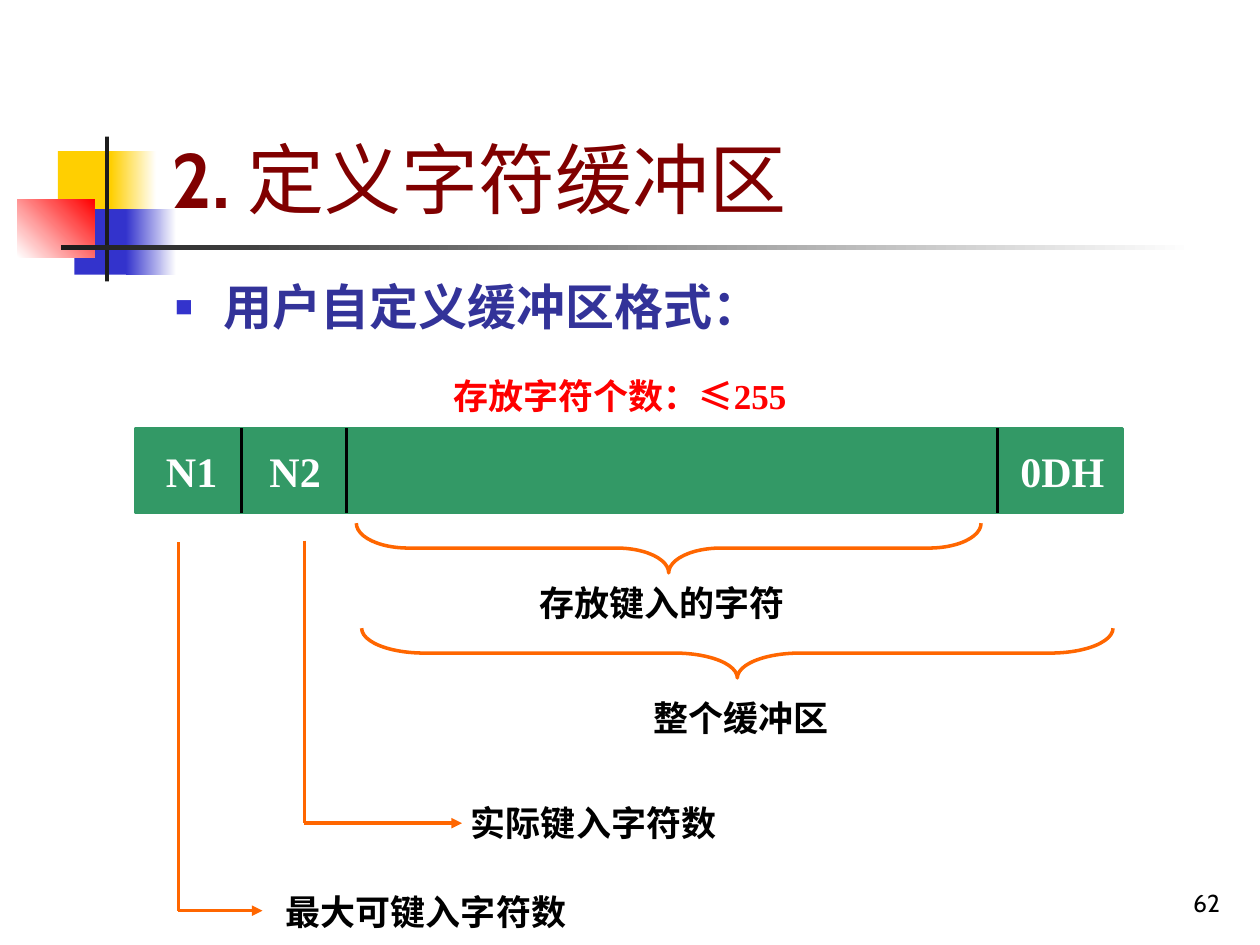
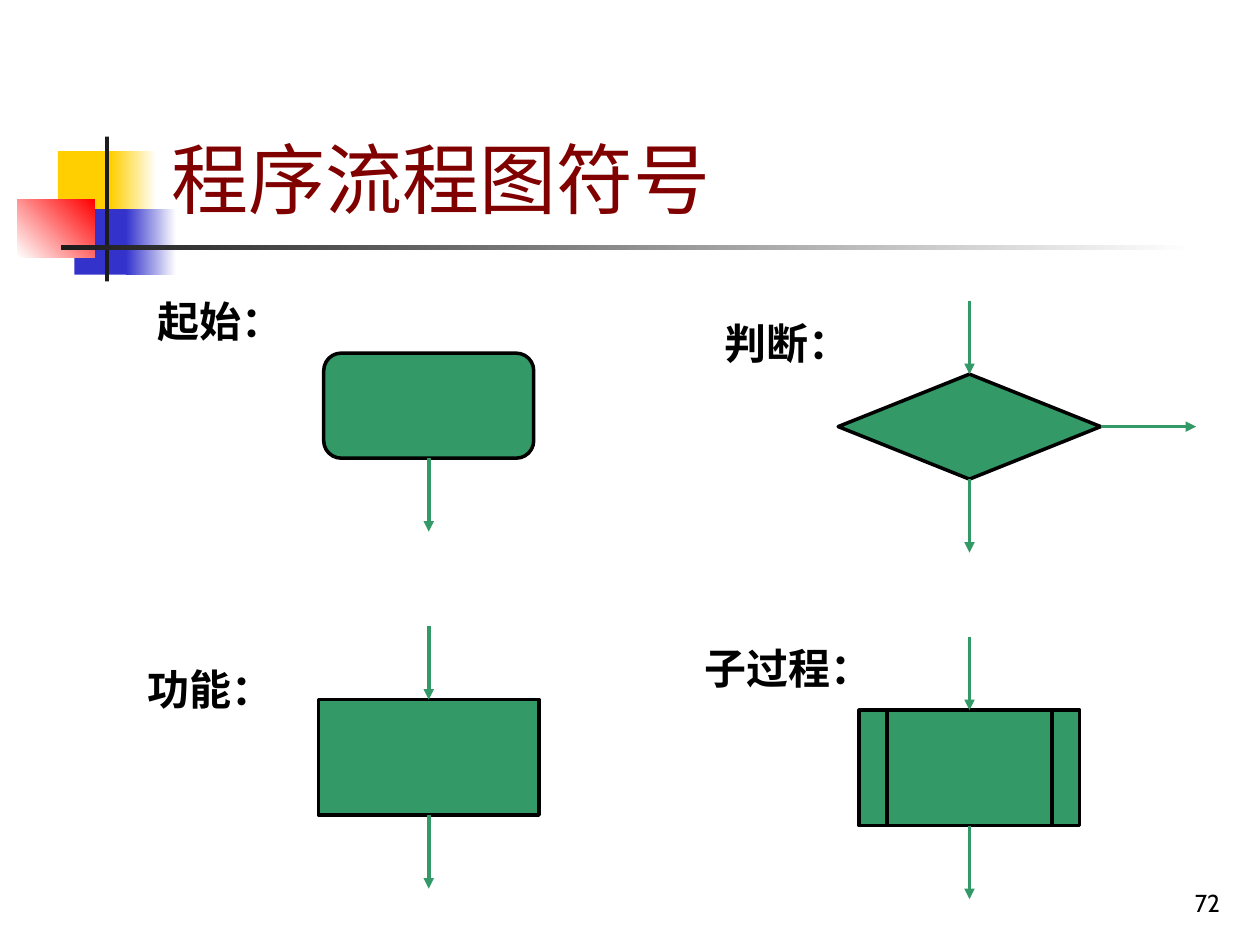
from lxml.etree import SubElement
from pptx import Presentation
from pptx.dml.color import RGBColor
from pptx.enum.shapes import MSO_CONNECTOR, MSO_SHAPE
from pptx.enum.text import MSO_ANCHOR, MSO_AUTO_SIZE, PP_ALIGN
from pptx.oxml.ns import qn
from pptx.util import Pt

COLORS = {
    "yellow": "FFCF01", "blue": "3333CC", "red": "FF0000", "ink": "1C1C1C",
    "white": "FFFFFF", "black": "000000", "title": "800000",
    "body": "333399", "green": "339966", "orange": "FF6600",
}
RGB = {name: RGBColor.from_string(value) for name, value in COLORS.items()}
TITLE = {"name": "Cabin", "size": Pt(44), "bold": False}
BODY = {"name": "Cabin", "size": Pt(28), "bold": True}
NUMBER = {"name": "Cabin", "size": Pt(14), "bold": False}
LARGE = {"name": "Times New Roman", "size": Pt(24), "bold": True}
SMALL = {**LARGE, "size": Pt(20)}


def write(para, text, color, formats):
    span = para.add_run()
    span.text = text
    span.font.color.rgb = RGB[color]
    for name, value in formats.items():
        setattr(span.font, name, value)


def draw_line(page, start, end, color, arrow=False):
    line = page.shapes.add_connector(
        MSO_CONNECTOR.STRAIGHT, *(Pt(value) for value in (*start, *end)))
    line.line.color.rgb = RGB[color]
    line.line.width = Pt(2)
    if arrow:
        SubElement(line.line._get_or_add_ln(), qn("a:tailEnd"), type="triangle")
    SubElement(line.element.spPr, qn("a:effectLst"))
    return line


deck = Presentation()
deck.slide_width, deck.slide_height = Pt(720), Pt(540)
buffer_page = deck.slides.add_slide(deck.slide_layouts[1])
symbol_page = deck.slides.add_slide(deck.slide_layouts[5])

# Title ornament, moved to the master so that every page shows it
ornaments = [
    (33.1, 86.4, 34.6, 37.4, "yellow", None, 0),
    (63.4, 86.4, 25.9, 37.4, "yellow", "white", 0),
    (42.5, 119.5, 33.1, 37.4, "blue", None, 0),
    (72, 119.5, 28.8, 37.4, "blue", "white", 0),
    (10, 113.8, 44, 33.1, "white", "red", 45),
    (60, 78, 2.3, 82.8, "ink", None, 0),
    (34.6, 140.2, 648, 2.5, "ink", "white", 0),
]
for number, (*frame, color, fade, angle) in enumerate(ornaments, start=101):
    ornament = buffer_page.shapes.add_shape(
        MSO_SHAPE.RECTANGLE, *(Pt(value) for value in frame))
    ornament.shadow.inherit = False
    ornament.line.fill.background()
    if fade:
        ornament.fill.gradient()
        ornament.fill.gradient_angle = angle
        for stop, stop_color in zip(ornament.fill.gradient_stops, (color, fade)):
            stop.color.rgb = RGB[stop_color]
    else:
        ornament.fill.solid()
        ornament.fill.fore_color.rgb = RGB[color]
    ornament.element.nvSpPr.cNvPr.set("id", str(number))
    deck.slide_master.shapes.element.append(ornament.element)

# Titles and page numbers
headings = [
    (buffer_page, "2. ", "定义字符缓冲区", "62"),
    (symbol_page, "", "程序流程图符号", "72"),
]
for page, prefix, heading, number in headings:
    title = page.shapes.title
    title.left, title.top, title.width, title.height = Pt(90.7), Pt(16.6), Pt(613.4), Pt(115.2)
    title.text_frame.auto_size = MSO_AUTO_SIZE.NONE
    title.text_frame.vertical_anchor = MSO_ANCHOR.BOTTOM
    para = title.text_frame.paragraphs[0]
    para.alignment = PP_ALIGN.LEFT
    if prefix:
        write(para, prefix, "title", {**TITLE, "bold": True})
    write(para, heading, "title", TITLE)

    box = page.shapes.add_textbox(Pt(554.4), Pt(491.8), Pt(149.8), Pt(36))
    box.text_frame.word_wrap = True
    box.text_frame.vertical_anchor = MSO_ANCHOR.BOTTOM
    para = box.text_frame.paragraphs[0]
    para.alignment = PP_ALIGN.RIGHT
    write(para, number, "black", NUMBER)

# Buffer page: bulleted line
body = buffer_page.placeholders[1]
body.left, body.top, body.width, body.height = Pt(92.9), Pt(151.2), Pt(539.3), Pt(49)
body.text_frame.auto_size = MSO_AUTO_SIZE.NONE
para = body.text_frame.paragraphs[0]
properties = para._p.get_or_add_pPr()
properties.set("marL", str(Pt(27.4)))
properties.set("indent", str(-Pt(27.4)))
bullet_color = SubElement(properties, qn("a:buClr"))
SubElement(bullet_color, qn("a:srgbClr"), val=COLORS["blue"])
SubElement(properties, qn("a:buSzPct"), val="60000")
SubElement(properties, qn("a:buChar"), char="■")
para.line_spacing = 1.1
para.space_before = Pt(0)
para.space_after = Pt(1.8)
write(para, "用户自定义缓冲区格式：", "body", BODY)

# Buffer page: memory bar with its dividers
bar_top, bar_bottom = 244.8, 293
bar = buffer_page.shapes.add_shape(
    MSO_SHAPE.RECTANGLE, Pt(77.8), Pt(bar_top), Pt(563.8), Pt(bar_bottom - bar_top))
bar.shadow.inherit = False
bar.fill.solid()
bar.fill.fore_color.rgb = bar.line.color.rgb = RGB["green"]
bar.line.width = Pt(2)
for x in (138, 198, 570):
    draw_line(buffer_page, (x, bar_top), (x, bar_bottom), "black")

# Buffer page: braces are upright shapes turned to point down
depth = 28.4
for left, top, length in ((203.6, 299, 357), (206.6, 359, 429.4)):
    brace = buffer_page.shapes.add_shape(
        MSO_SHAPE.RIGHT_BRACE, Pt(left + (length - depth) / 2),
        Pt(top - (length - depth) / 2), Pt(depth), Pt(length))
    brace.rotation = 90
    brace.adjustments[0] = length / 12 / depth
    brace.shadow.inherit = False
    brace.fill.background()
    brace.line.color.rgb = RGB["orange"]
    brace.line.width = Pt(2)

# Buffer page: pointers from N1 and N2 to their meanings
for x, top, bottom, tip in ((102, 310, 520.4, 150), (174, 309, 470.4, 264)):
    draw_line(buffer_page, (x, top), (x, bottom), "orange")
    draw_line(buffer_page, (x, bottom), (tip, bottom), "orange", arrow=True)

# Symbol page: flowchart symbols with their arrows
TOP, BOTTOM, RIGHT = 0, 2, 3
arrow_length = 42
symbols = [
    (MSO_SHAPE.FLOWCHART_ALTERNATE_PROCESS, 185, 201.8, 120, 60, (BOTTOM,)),
    (MSO_SHAPE.FLOWCHART_DECISION, 479, 213.8, 150, 60, (TOP, BOTTOM, RIGHT)),
    (MSO_SHAPE.RECTANGLE, 182, 399.8, 126, 66, (TOP, BOTTOM)),
    (MSO_SHAPE.FLOWCHART_PREDEFINED_PROCESS, 491, 405.8, 126, 66, (TOP, BOTTOM)),
]
for kind, left, top, width, height, sides in symbols:
    symbol = symbol_page.shapes.add_shape(kind, Pt(left), Pt(top), Pt(width), Pt(height))
    symbol.shadow.inherit = False
    symbol.fill.solid()
    symbol.fill.fore_color.rgb = RGB["green"]
    symbol.line.color.rgb = RGB["black"]
    symbol.line.width = Pt(2)
    center, middle = left + width / 2, top + height / 2
    ends = {
        TOP: ((center, top - arrow_length), (center, top)),
        BOTTOM: ((center, top + height), (center, top + height + arrow_length)),
        RIGHT: ((left + width, middle), (683.5, middle)),
    }
    for side in sides:
        arrow = draw_line(symbol_page, *ends[side], "green", arrow=True)
        join = arrow.end_connect if side == TOP else arrow.begin_connect
        join(symbol, side)

# Labels on both pages
labels = [
    (buffer_page, "0DH", 576, 251.3, 66.2, "white", LARGE),
    (buffer_page, "N1", 87.8, 251.3, 48.2, "white", LARGE),
    (buffer_page, "N2", 146.9, 251.3, 54, "white", LARGE),
    (buffer_page, "整个缓冲区", 366.5, 394.6, 156.2, "black", SMALL),
    (buffer_page, "最大可键入字符数", 156.2, 505.4, 221.8, "black", SMALL),
    (buffer_page, "实际键入字符数", 262, 454.3, 172.8, "black", SMALL),
    (buffer_page, "存放键入的字符", 301, 329, 156.2, "black", SMALL),
    (buffer_page, "存放字符个数：≤255", 252, 210.2, 266.4, "red", SMALL),
    (symbol_page, "起始：", 82.8, 165.6, 90, "black", LARGE),
    (symbol_page, "功能：", 77, 375.8, 90, "black", LARGE),
    (symbol_page, "判断：", 406.8, 177.8, 90, "black", LARGE),
    (symbol_page, "子过程：", 395.3, 363.6, 120.2, "black", LARGE),
]
for page, text, left, top, width, color, formats in labels:
    height = 36 if formats is LARGE else 31.7
    box = page.shapes.add_textbox(Pt(left), Pt(top), Pt(width), Pt(height))
    box.text_frame.word_wrap = True
    box.text_frame.auto_size = MSO_AUTO_SIZE.SHAPE_TO_FIT_TEXT
    write(box.text_frame.paragraphs[0], text, color, formats)

deck.save("out.pptx")
